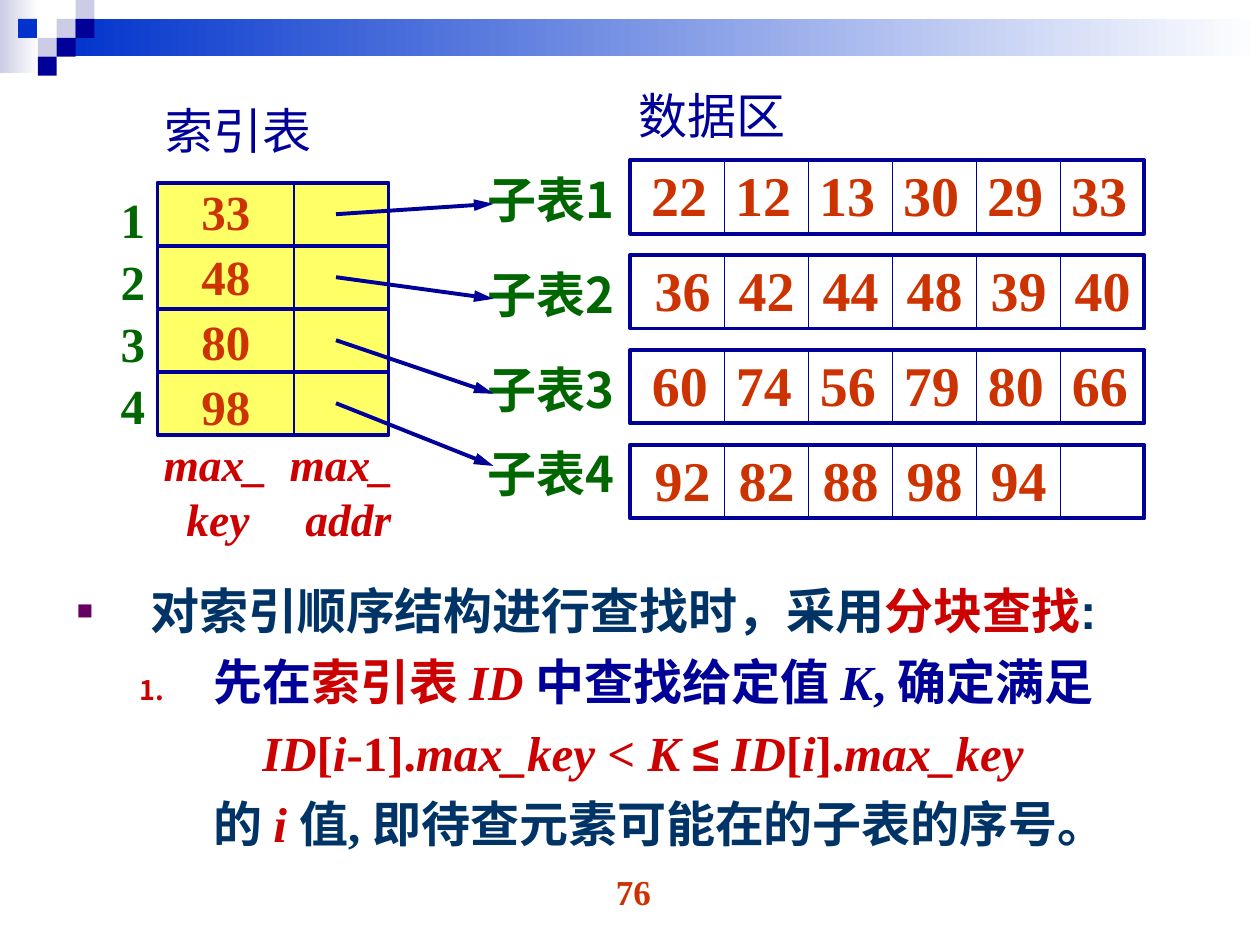
from dataclasses import dataclass
from typing import Optional

import pptx
import pptx.dml.color
import pptx.enum.shapes
import pptx.enum.text
import pptx.oxml
import pptx.oxml.ns
import pptx.util
from lxml import etree

Pt = pptx.util.Pt
qn = pptx.oxml.ns.qn
RECT = pptx.enum.shapes.MSO_SHAPE.RECTANGLE
STRAIGHT = pptx.enum.shapes.MSO_CONNECTOR.STRAIGHT
ALIGN = pptx.enum.text.PP_ALIGN

COLORS = {
    "navy": "000099", "blue": "0033CC", "lilac": "CCCCE6", "white": "FFFFFF",
    "yellow": "FFFF66", "orange": "CC3300", "green": "006600", "red": "CC0000",
    "teal": "003366", "purple": "660066",
}
SERIF, SANS, CJK = "Times New Roman", "Arial", "Noto Sans CJK SC"


@dataclass
class Run:
    text: str
    color: str
    size: float = 28
    font: str = SERIF
    bold: bool = True
    italic: bool = False


@dataclass
class Para:
    runs: list[Run]
    line: float = 33.7
    before: float = 0
    margin: float = 0
    indent: float = 0
    bullet: Optional[tuple[str, dict[str, str], str]] = None
    level: int = 0
    align: ALIGN = ALIGN.LEFT


@dataclass
class SubTable:
    values: list[str]
    text_left: float
    label_shift: float = 0
    tip_shift: float = 0


def rgb(name: str) -> pptx.dml.color.RGBColor:
    return pptx.dml.color.RGBColor.from_string(COLORS[name])


def add_rect(s, x: float, y: float, w: float, h: float, fill: str,
             line: Optional[str] = None, fade: bool = False):
    """Add a rectangle; fade runs its fill out to white on the right."""
    sp = s.shapes.add_shape(RECT, Pt(x), Pt(y), Pt(w), Pt(h))
    sp.shadow.inherit = False
    if fade:
        sp.fill.gradient()
        sp.fill.gradient_angle = 0
        for stop, color in zip(sp.fill.gradient_stops, (fill, "white")):
            stop.color.rgb = rgb(color)
    else:
        sp.fill.solid()
        sp.fill.fore_color.rgb = rgb(fill)
    if line:
        sp.line.color.rgb = rgb(line)
        sp.line.width = Pt(2.25)
    else:
        sp.line.fill.background()
    return sp


def add_line(s, x1: float, y1: float, x2: float, y2: float,
             width: float = 0.75, arrow: bool = False):
    c = s.shapes.add_connector(STRAIGHT, Pt(x1), Pt(y1), Pt(x2), Pt(y2))
    c.line.color.rgb = rgb("navy")
    c.line.width = Pt(width)
    if arrow:
        etree.SubElement(c.line._get_or_add_ln(), qn("a:tailEnd"),
                         type="triangle", w="med", len="lg")
    etree.SubElement(c._element.spPr, qn("a:effectLst"))
    return c


def add_run(p, run: Run) -> None:
    r = p.add_run()
    r.text = run.text
    r.font.name = run.font
    r.font.size = Pt(run.size)
    r.font.bold = run.bold
    r.font.italic = run.italic
    r.font.color.rgb = rgb(run.color)
    r.font._element.find(qn("a:latin")).addnext(
        r.font._element.makeelement(qn("a:ea"), {"typeface": CJK}))


def write(tf, paras: list[Para]) -> None:
    tf.word_wrap = True
    tf.auto_size = pptx.enum.text.MSO_AUTO_SIZE.NONE
    tf.vertical_anchor = pptx.enum.text.MSO_ANCHOR.TOP
    for n, para in enumerate(paras):
        p = tf.add_paragraph() if n else tf.paragraphs[0]
        p.level = para.level
        p.alignment = para.align
        p.line_spacing = Pt(para.line)
        p.space_before = Pt(para.before if n else 0)
        p.space_after = Pt(0)
        pPr = p._p.get_or_add_pPr()
        pPr.set("marL", str(Pt(para.margin)))
        pPr.set("indent", str(Pt(para.indent)))
        if para.bullet:
            tag, attrs, color = para.bullet
            clr = etree.SubElement(pPr, qn("a:buClr"))
            etree.SubElement(clr, qn("a:srgbClr"), val=COLORS[color])
            etree.SubElement(pPr, qn("a:buSzPct"), val="55000")
            etree.SubElement(pPr, qn(tag), attrs)
        else:
            etree.SubElement(pPr, qn("a:buNone"))
        for run in para.runs:
            add_run(p, run)


def add_text(s, x: float, y: float, w: float, h: float, paras: list[Para]) -> None:
    write(s.shapes.add_textbox(Pt(x), Pt(y), Pt(w), Pt(h)).text_frame, paras)


def draw_header(s) -> None:
    add_rect(s, 0, 0, 22, 42, "lilac", fade=True)
    add_rect(s, 32.4, 10.8, 687.6, 21.4, "blue", fade=True)
    squares = [(32.4, 10.8, "lilac"), (43.2, 0, "lilac"), (43.2, 10.8, "navy"),
               (21.6, 21.6, "lilac"), (10.3, 10.8, "blue"), (32.4, 21.6, "navy"),
               (21.6, 32.4, "navy")]
    for x, y, color in squares:
        add_rect(s, x, y, 10.8, 10.8, color)


def draw_index(s) -> None:
    left, top, width, row = 90, 104.4, 132, 36
    add_text(s, 87, 53.7, 110, 41, [Para([Run("索引表", "navy", bold=False)])])
    table = add_rect(s, left, top, width, 4 * row, "yellow", "navy")
    for n in (1, 2, 3):
        c = add_line(s, left, top + n * row, left + width, top + n * row, 2.25)
        if n == 2:
            c.begin_connect(table, 1)
            c.end_connect(table, 3)
    add_line(s, 168, top, 168, top + 4 * row)
    add_text(s, 108, 100.1, 48, 153,
             [Para([Run(v, "orange")], before=3.5) for v in ("33", "48", "80", "98")])
    add_text(s, 61.9, 103, 34, 149,
             [Para([Run(v, "green")], line=35.4) for v in "1234"])
    for x, name, margin in ((86.4, "key", 13), (158.4, "addr", 9)):
        add_text(s, x, 245.5, 80, 70, [
            Para([Run("max_", "red", 26, italic=True)], 31.4),
            Para([Run(name, "red", 26, italic=True)], 31.4, margin=margin),
        ])


def draw_data(s, tables: list[SubTable]) -> None:
    left, top, pitch, cell, height = 360, 91.5, 54.25, 48, 42
    add_text(s, 357.8, 45.1, 110, 41, [Para([Run("数据区", "navy", bold=False)])])
    for n, table in enumerate(tables):
        y = top + n * pitch
        add_rect(s, left, y, 294, height, "white", "navy")
        for k in range(5):
            x = left + 54 + k * cell
            add_line(s, x, y, x, y + height)
        for k, value in enumerate(table.values):
            add_text(s, table.text_left + k * cell, y - 3.6, 50, 46,
                     [Para([Run(value, "orange", 32)], 38.9)])
        add_text(s, 271.4, y + 2 + table.label_shift, 104, 41,
                 [Para([Run(f"子表{n + 1}", "green", font=CJK)])])
        add_line(s, 192, 122.4 + 36 * n, 282, y + 25 + table.tip_shift, 2.25, arrow=True)


def explanation() -> list[Para]:
    def red(text: str, italic: bool = True, font: str = SERIF) -> Run:
        return Run(text, "red", font=font, italic=italic)

    formula = [red("ID"), red("[", False), red("i"), red("-1].", False), red("max_key"),
               red(" < ", False), red("K "), red("≤", False, SANS), red(" ID"),
               red("[", False), red("i"), red("].", False), red("max_key")]
    step = [Run("先在", "navy"), red("索引表 ", False), red("ID "),
            Run("中查找给定值 ", "navy"), Run("K", "navy", italic=True),
            Run(", 确定满足", "navy")]
    return [
        Para([Run("对索引顺序结构进行查找时，采用", "teal", font=SANS),
              red("分块查找", False, SANS), Run(":", "teal", font=SANS)],
             35.4, margin=42, indent=-42, bullet=("a:buChar", {"char": "■"}, "purple")),
        Para(step, 35.4, 5.2, 78, -42, level=1,
             bullet=("a:buAutoNum", {"type": "arabicPeriod"}, "red")),
        Para(formula, 35.4, 5.2, 106, level=1),
        Para([Run("的 ", "teal"), red("i "),
              Run("值, 即待查元素可能在的子表的序号。", "teal")], 35.4, 5.2, 78, level=1),
    ]


def main() -> None:
    prs = pptx.Presentation()
    prs.slide_width, prs.slide_height = Pt(720), Pt(540)
    s = prs.slides.add_slide(prs.slide_layouts[1])
    title = s.shapes.title._element
    title.getparent().remove(title)
    draw_header(s)
    body = s.placeholders[1]
    body.left, body.top, body.width, body.height = Pt(36.7), Pt(326.4), Pt(666), Pt(174)
    write(body.text_frame, explanation())
    draw_index(s)
    draw_data(s, [
        SubTable(["22", "12", "13", "30", "29", "33"], 365),
        SubTable(["36", "42", "44", "48", "39", "40"], 367),
        SubTable(["60", "74", "56", "79", "80", "66"], 365.5),
        SubTable(["92", "82", "88", "98", "94"], 367, -6.5, -13),
    ])
    add_text(s, 278, 493.9, 168, 37.4,
             [Para([Run("76", "orange", 20)], 24, align=ALIGN.CENTER)])
    prs.save("out.pptx")


if __name__ == "__main__":
    main()
